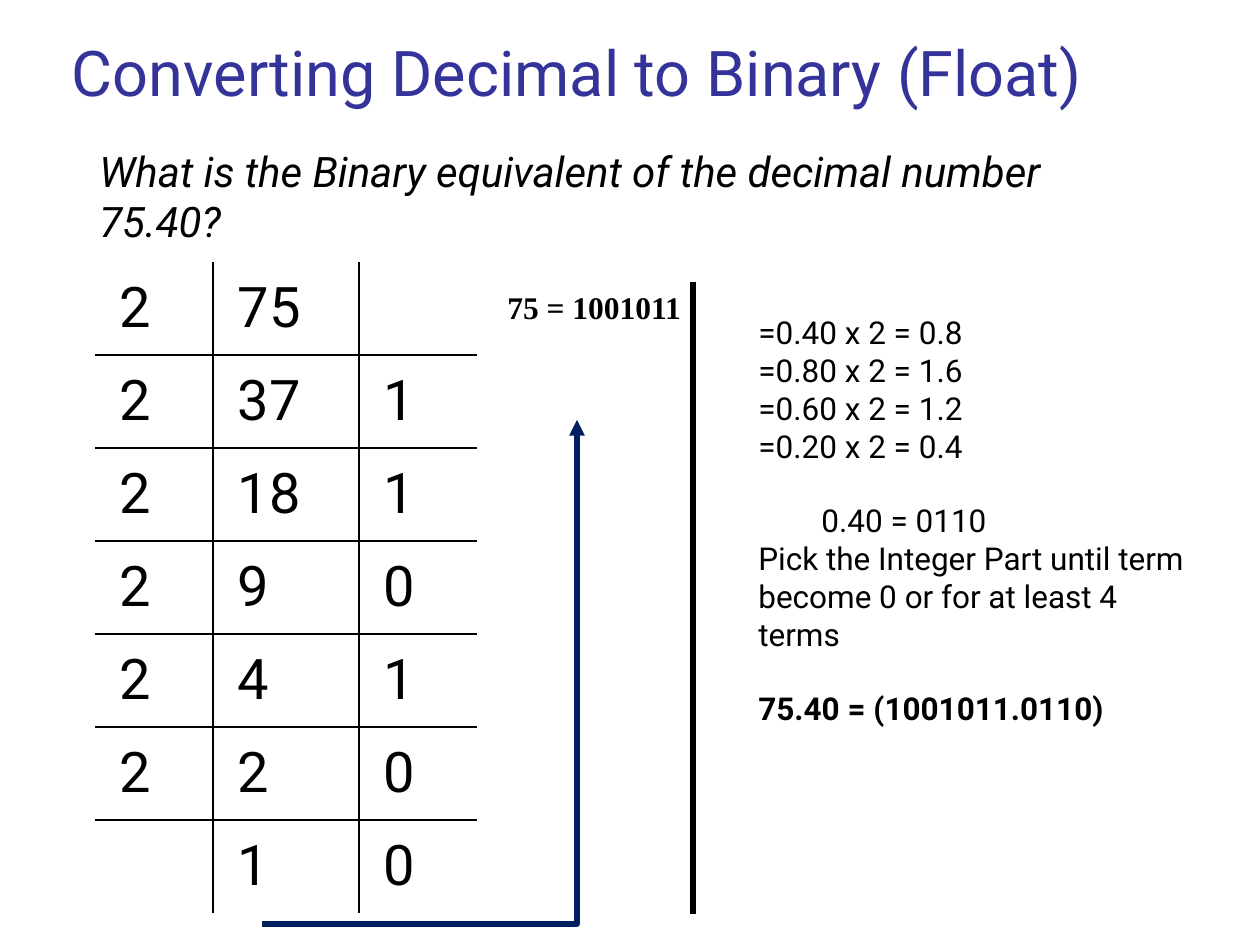
from dataclasses import dataclass

from lxml.etree import SubElement
from pptx import Presentation
from pptx.dml.color import RGBColor
from pptx.enum.shapes import MSO_CONNECTOR
from pptx.enum.text import MSO_ANCHOR, MSO_AUTO_SIZE, PP_ALIGN
from pptx.oxml.ns import qn
from pptx.util import Emu, Pt


@dataclass(frozen=True)
class Theme:
    font: str = "Roboto"
    serif: str = "Times New Roman"
    title: str = "333399"
    text: str = "000000"
    arrow: str = "002060"
    title_size: int = 36
    question_size: int = 24
    cell_size: int = 32
    body_size: int = 18
    rule: int = 1
    stroke: int = 3


THEME = Theme()
DIVISION = [
    ("2", "75", ""),
    ("2", "37", "1"),
    ("2", "18", "1"),
    ("2", "9", "0"),
    ("2", "4", "1"),
    ("2", "2", "0"),
    ("", "1", "0"),
]
FRACTION = [
    ("=0.40 x 2 = 0.8", {}),
    ("=0.80 x 2 = 1.6", {}),
    ("=0.60 x 2 = 1.2", {}),
    ("=0.20 x 2 = 0.4", {}),
    ("0.40 = 0110", {"gap": 21, "indent": 63}),
    ("Pick the Integer Part until term become 0 or for at least 4 terms", {}),
    ("75.40 = (1001011.0110)", {"gap": 21, "bold": True}),
]


def px(n):
    return Emu(round(n * 914400 / 126))


def set_all(obj, values):
    for name, value in values.items():
        setattr(obj, name, value)


def write(p, text, size, color=THEME.text, **font):
    r = p.add_run()
    r.text = text
    set_all(r.font, {"name": THEME.font, "size": Pt(size), **font})
    r.font.color.rgb = RGBColor.from_string(color)


def place(sp, box):
    set_all(sp, dict(zip(("left", "top", "width", "height"), map(px, box))))


def add_title(s, text, box):
    sp = s.shapes.title
    place(sp, box)
    tf = sp.text_frame
    set_all(tf, {"margin_left": 0, "margin_top": 0, "margin_right": 0, "margin_bottom": 0,
                 "vertical_anchor": MSO_ANCHOR.BOTTOM, "word_wrap": True,
                 "auto_size": MSO_AUTO_SIZE.SHAPE_TO_FIT_TEXT})
    p = tf.paragraphs[0]
    p.alignment = PP_ALIGN.LEFT
    write(p, text, THEME.title_size, THEME.title)


def add_text(s, lines, box, size, **font):
    tf = s.shapes.add_textbox(*map(px, box)).text_frame
    set_all(tf, {"word_wrap": True, "auto_size": MSO_AUTO_SIZE.SHAPE_TO_FIT_TEXT})
    for i, (text, style) in enumerate(lines):
        p = tf.add_paragraph() if i else tf.paragraphs[0]
        p.space_before = Pt(style.get("gap", 0))
        if "indent" in style:
            p._p.get_or_add_pPr().set("marL", str(px(style["indent"])))
        write(p, text, size, bold=style.get("bold", False), **font)


def set_border(cell, side, visible):
    ln = SubElement(cell._tc.get_or_add_tcPr(), qn(f"a:ln{side}"), w=str(Pt(THEME.rule)))
    if visible:
        fill = SubElement(ln, qn("a:solidFill"))
        SubElement(fill, qn("a:srgbClr"), val=THEME.text)
    else:
        SubElement(ln, qn("a:noFill"))


def add_division_table(s, rows, left, top, widths, row_height):
    n_rows, n_cols = len(rows), len(widths)
    table = s.shapes.add_table(n_rows, n_cols, px(left), px(top),
                               px(sum(widths)), px(n_rows * row_height)).table
    set_all(table, {"first_row": False, "horz_banding": False})
    for col, width in zip(table.columns, widths):
        col.width = px(width)
    for i, values in enumerate(rows):
        table.rows[i].height = px(row_height)
        for j, value in enumerate(values):
            cell = table.cell(i, j)
            set_all(cell, {"margin_left": px(25), "margin_right": px(25),
                           "margin_top": px(4), "margin_bottom": 0})
            inner = {"L": j > 0, "R": j < n_cols - 1, "T": i > 0, "B": i < n_rows - 1}
            for side, visible in inner.items():
                set_border(cell, side, visible)
            cell.fill.background()
            if value:
                p = cell.text_frame.paragraphs[0]
                set_all(p, {"alignment": PP_ALIGN.JUSTIFY, "line_spacing": 1.15})
                write(p, value, THEME.cell_size)


def add_line(s, kind, start, end, color):
    c = s.shapes.add_connector(kind, *map(px, start + end))
    c.line.width = Pt(THEME.stroke)
    c.line.color.rgb = RGBColor.from_string(color)
    SubElement(c._element.spPr, qn("a:effectLst"))
    return c


def add_corner_arrow(s, start, end, color):
    mid_x, mid_y = (start[0] + end[0]) / 2, (start[1] + end[1]) / 2
    half_w, half_h = abs(start[1] - end[1]) / 2, abs(end[0] - start[0]) / 2
    c = add_line(s, MSO_CONNECTOR.ELBOW, (mid_x + half_w, mid_y + half_h),
                 (mid_x - half_w, mid_y - half_h), color)
    sp_pr = c._element.spPr
    sp_pr.find(qn("a:xfrm")).set("rot", str(90 * 60000))
    guides = sp_pr.find(qn("a:prstGeom")).find(qn("a:avLst"))
    SubElement(guides, qn("a:gd"), name="adj1", fmla="val 0")
    SubElement(sp_pr.find(qn("a:ln")), qn("a:tailEnd"), type="triangle")


def main():
    prs = Presentation()
    set_all(prs, {"slide_width": px(1260), "slide_height": px(945)})
    s = prs.slides.add_slide(prs.slide_layouts[5])
    add_title(s, "Converting Decimal to Binary (Float)", (72, 32, 1086, 77))
    question = "What is the Binary equivalent of the decimal number 75.40?"
    add_text(s, [(question, {})], (87, 139, 1086, 255), THEME.question_size, italic=True)
    add_division_table(s, DIVISION, 95, 262, (118, 146, 118), 93)
    add_corner_arrow(s, (262, 924), (577, 420), THEME.arrow)
    add_text(s, [("75 = 1001011", {"bold": True})], (495, 282, 305, 50),
             THEME.body_size, name=THEME.serif)
    add_line(s, MSO_CONNECTOR.STRAIGHT, (693, 282), (693, 914), THEME.text)
    add_text(s, FRACTION, (746, 307, 462, 432), THEME.body_size)
    prs.save("out.pptx")


if __name__ == "__main__":
    main()
